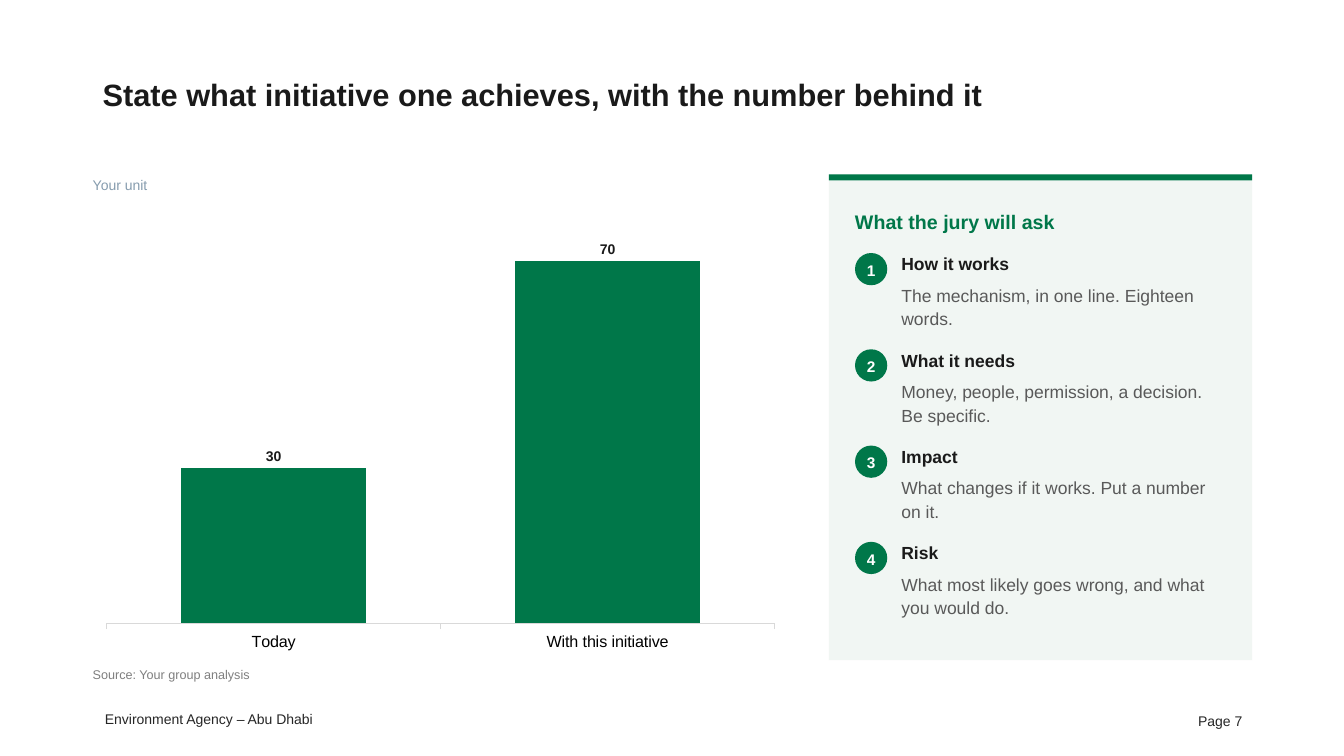
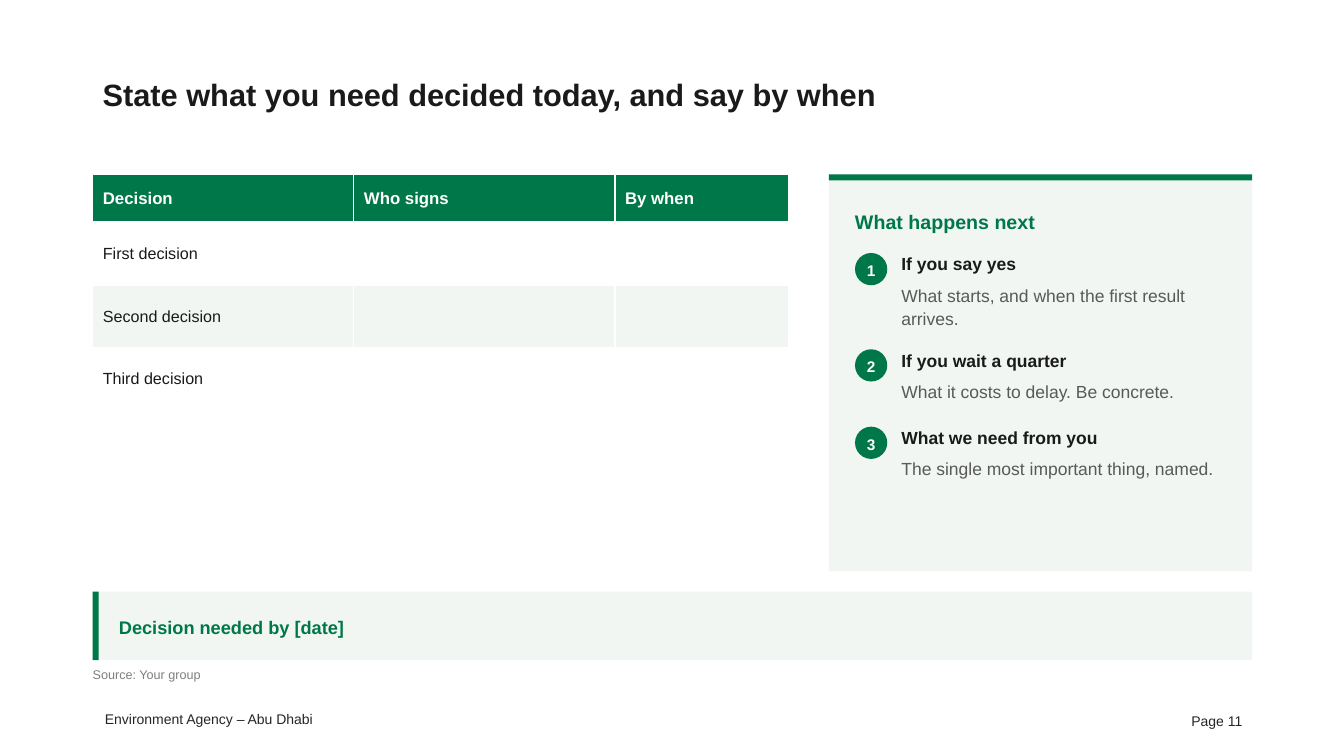
from dataclasses import dataclass

from pptx import Presentation
from pptx.chart.data import CategoryChartData
from pptx.dml.color import RGBColor
from pptx.enum.chart import XL_CHART_TYPE, XL_LABEL_POSITION, XL_TICK_MARK
from pptx.enum.shapes import MSO_SHAPE as SHAPE
from pptx.enum.text import MSO_ANCHOR as ANCHOR, PP_ALIGN as ALIGN
from pptx.oxml import parse_xml
from pptx.oxml.ns import nsdecls
from pptx.util import Inches, Pt


@dataclass(frozen=True)
class Theme:
    font: str = "Arial"
    green: str = "007749"
    pale: str = "F1F6F3"
    white: str = "FFFFFF"
    black: str = "000000"
    ink: str = "1A1A1A"
    body: str = "595959"
    footer: str = "262626"
    muted: str = "7F7F7F"
    unit: str = "869CAE"
    axis: str = "D9D9D9"
    title_size: float = 22
    panel_size: float = 14
    band_size: float = 13
    step_size: float = 12.5
    header_size: float = 12
    cell_size: float = 11.5
    badge_size: float = 11
    small_size: float = 10
    source_size: float = 9


T = Theme()

AGENCY = "Environment Agency – Abu Dhabi"

INITIATIVE = {
    "title": "State what initiative one achieves, with the number behind it",
    "page": 7,
    "source": "Source: Your group analysis",
    "unit": "Your unit",
    "categories": ["Today", "With this initiative"],
    "values": [30, 70],
    "panel": "What the jury will ask",
    "steps": [
        ("How it works", "The mechanism, in one line. Eighteen words.", 2),
        ("What it needs", "Money, people, permission, a decision. Be specific.", 2),
        ("Impact", "What changes if it works. Put a number on it.", 2),
        ("Risk", "What most likely goes wrong, and what you would do.", 2),
    ],
}

DECISION = {
    "title": "State what you need decided today, and say by when",
    "page": 11,
    "source": "Source: Your group",
    "columns": [("Decision", 2.59), ("Who signs", 2.59), ("By when", 1.72)],
    "decisions": ["First decision", "Second decision", "Third decision"],
    "panel": "What happens next",
    "steps": [
        ("If you say yes", "What starts, and when the first result arrives.", 2),
        ("If you wait a quarter", "What it costs to delay. Be concrete.", 1),
        ("What we need from you", "The single most important thing, named.", 1),
    ],
    "band": "Decision needed by [date]",
}

LEFT, TOP, BOTTOM = 0.92, 1.73, 6.55
FULL_W, MAIN_W, PANEL_W = 11.5, 6.9, 4.2
PANEL_X = LEFT + FULL_W - PANEL_W
PAD, ACCENT, BADGE = 0.26, 0.06, 0.32
BAND_H, BAND_GAP = 0.68, 0.2
HEADER_H, ROW_H = 0.48, 0.62
STEP_BASE, STEP_LINE = 0.58, 0.75 / 4


def rgb(value):
    return RGBColor.from_string(value)


def inches(*values):
    return [Inches(v) for v in values]


def style_font(font, size, color, bold=False):
    font.name, font.size, font.bold = T.font, Pt(size), bold
    font.color.rgb = rgb(color)


def write(tf, text, size, color, bold=False, align=ALIGN.LEFT, spacing=None, after=None):
    p = tf.paragraphs[0]
    p.alignment = align
    if spacing:
        p.line_spacing = spacing
    if after:
        p.space_after = Pt(after)
    r = p.add_run()
    r.text = text
    style_font(r.font, size, color, bold)


def set_frame(tf, anchor, left=0.0):
    tf.word_wrap = True
    tf.vertical_anchor = anchor
    tf.margin_left = Inches(left)
    tf.margin_top = tf.margin_right = tf.margin_bottom = 0


def add_label(s, text, box, size, color, bold=False):
    tf = s.shapes.add_textbox(*inches(*box)).text_frame
    set_frame(tf, ANCHOR.TOP)
    write(tf, text, size, color, bold, spacing=1.12, after=3)


def add_frame_text(s, text, box, size, color, wrap=True, **style):
    tf = s.shapes.add_textbox(*inches(*box)).text_frame
    tf.word_wrap = wrap
    tf.vertical_anchor = ANCHOR.MIDDLE if wrap else ANCHOR.TOP
    write(tf, text, size, color, **style)


def add_block(s, kind, box, fill):
    sp = s.shapes.add_shape(kind, *inches(*box))
    sp.shadow.inherit = False
    sp.fill.solid()
    sp.fill.fore_color.rgb = rgb(fill)
    sp.line.fill.background()
    return sp


def add_base(prs, data):
    s = prs.slides.add_slide(prs.slide_layouts[6])
    add_frame_text(s, f"Page {data['page']}", (9.42, 6.95, 3, 0.4),
                   T.small_size, T.footer, align=ALIGN.RIGHT)
    add_frame_text(s, AGENCY, (0.91, 7, 2.29, 0.27),
                   T.small_size, T.footer, wrap=False, align=ALIGN.RIGHT)
    add_frame_text(s, data["title"], (LEFT, 0.4, FULL_W, 1.05),
                   T.title_size, T.ink, bold=True, spacing=1.05)
    add_label(s, data["source"], (LEFT, 6.6, 8.4, 0.22), T.source_size, T.muted)
    return s


def add_panel(s, data, bottom):
    add_block(s, SHAPE.RECTANGLE, (PANEL_X, TOP, PANEL_W, bottom - TOP), T.pale)
    add_block(s, SHAPE.RECTANGLE, (PANEL_X, TOP, PANEL_W, ACCENT), T.green)
    x, y = PANEL_X + PAD, 2.49
    text_x, text_w = x + 0.46, PANEL_W - 2 * PAD - 0.46
    add_label(s, data["panel"], (x, 2.05, PANEL_W - 2 * PAD, 0.3),
              T.panel_size, T.green, True)
    for number, (heading, detail, lines) in enumerate(data["steps"], 1):
        badge = add_block(s, SHAPE.OVAL, (x, y + 0.02, BADGE, BADGE), T.green)
        set_frame(badge.text_frame, ANCHOR.MIDDLE)
        write(badge.text_frame, str(number), T.badge_size, T.white, True,
              ALIGN.CENTER, 1.12, 3)
        add_label(s, heading, (text_x, y, text_w, 0.26), T.step_size, T.ink, True)
        add_label(s, detail, (text_x, y + 0.31, text_w, 0.42), T.step_size, T.body)
        y += STEP_BASE + lines * STEP_LINE


def add_column_chart(s, data):
    add_label(s, data["unit"], (LEFT, TOP, MAIN_W, 0.24), T.small_size, T.unit)
    chart_data = CategoryChartData()
    chart_data.categories = data["categories"]
    chart_data.add_series("Series 1", data["values"])
    chart = s.shapes.add_chart(XL_CHART_TYPE.COLUMN_CLUSTERED,
                               *inches(LEFT, 1.99, MAIN_W, BOTTOM - 1.99),
                               chart_data).chart
    chart.has_legend = chart.has_title = False
    style_font(chart.font, T.cell_size, T.black)

    value_axis = chart.value_axis
    value_axis.has_major_gridlines = value_axis.visible = False
    value_axis.minimum_scale, value_axis.maximum_scale = 0, 80
    category_axis = chart.category_axis
    category_axis.major_tick_mark = XL_TICK_MARK.OUTSIDE
    category_axis.format.line.color.rgb = rgb(T.axis)
    category_axis.format.line.width = Pt(0.75)

    plot = chart.plots[0]
    plot.gap_width, plot.vary_by_categories = 80, False
    series = plot.series[0]
    series.format.fill.solid()
    series.format.fill.fore_color.rgb = rgb(T.green)
    labels = series.data_labels
    labels.show_value = True
    labels.position = XL_LABEL_POSITION.OUTSIDE_END
    style_font(labels.font, T.small_size, T.ink, True)


def set_borders(cell, row):
    widths = {"L": 1, "R": 1, "T": 3 if row == 1 else 1, "B": 3 if row == 0 else 1}
    for side, width in widths.items():
        cell._tc.get_or_add_tcPr().append(parse_xml(
            f'<a:ln{side} {nsdecls("a")} w="{Pt(width)}"><a:solidFill>'
            f'<a:srgbClr val="{T.white}"/></a:solidFill></a:ln{side}>'))


def add_decision_table(s, data):
    headers, widths = zip(*data["columns"])
    rows = [headers] + [(name, "", "") for name in data["decisions"]]
    heights = [HEADER_H] + [ROW_H] * len(data["decisions"])
    table = s.shapes.add_table(len(rows), len(headers),
                               *inches(LEFT, TOP, sum(widths), sum(heights))).table
    for column, width in zip(table.columns, widths):
        column.width = Inches(width)
    for i, (texts, height) in enumerate(zip(rows, heights)):
        table.rows[i].height = Inches(height)
        fill = T.green if i == 0 else T.white if i % 2 else T.pale
        size, color = (T.header_size, T.white) if i == 0 else (T.cell_size, T.ink)
        for j, text in enumerate(texts):
            cell = table.cell(i, j)
            set_borders(cell, i)
            cell.fill.solid()
            cell.fill.fore_color.rgb = rgb(fill)
            cell.vertical_anchor = ANCHOR.MIDDLE
            if text:
                write(cell.text_frame, text, size, color, i == 0)


def add_band(s, text):
    y = BOTTOM - BAND_H
    band = add_block(s, SHAPE.RECTANGLE, (LEFT, y, FULL_W, BAND_H), T.pale)
    set_frame(band.text_frame, ANCHOR.MIDDLE, PAD)
    write(band.text_frame, text, T.band_size, T.green, True, spacing=1.12, after=3)
    add_block(s, SHAPE.RECTANGLE, (LEFT, y, ACCENT, BAND_H), T.green)


def main():
    prs = Presentation()
    prs.slide_width, prs.slide_height = inches(13.33, 7.5)

    s = add_base(prs, INITIATIVE)
    add_column_chart(s, INITIATIVE)
    add_panel(s, INITIATIVE, BOTTOM)

    s = add_base(prs, DECISION)
    add_decision_table(s, DECISION)
    add_panel(s, DECISION, BOTTOM - BAND_H - BAND_GAP)
    add_band(s, DECISION["band"])

    prs.save("out.pptx")


if __name__ == "__main__":
    main()
